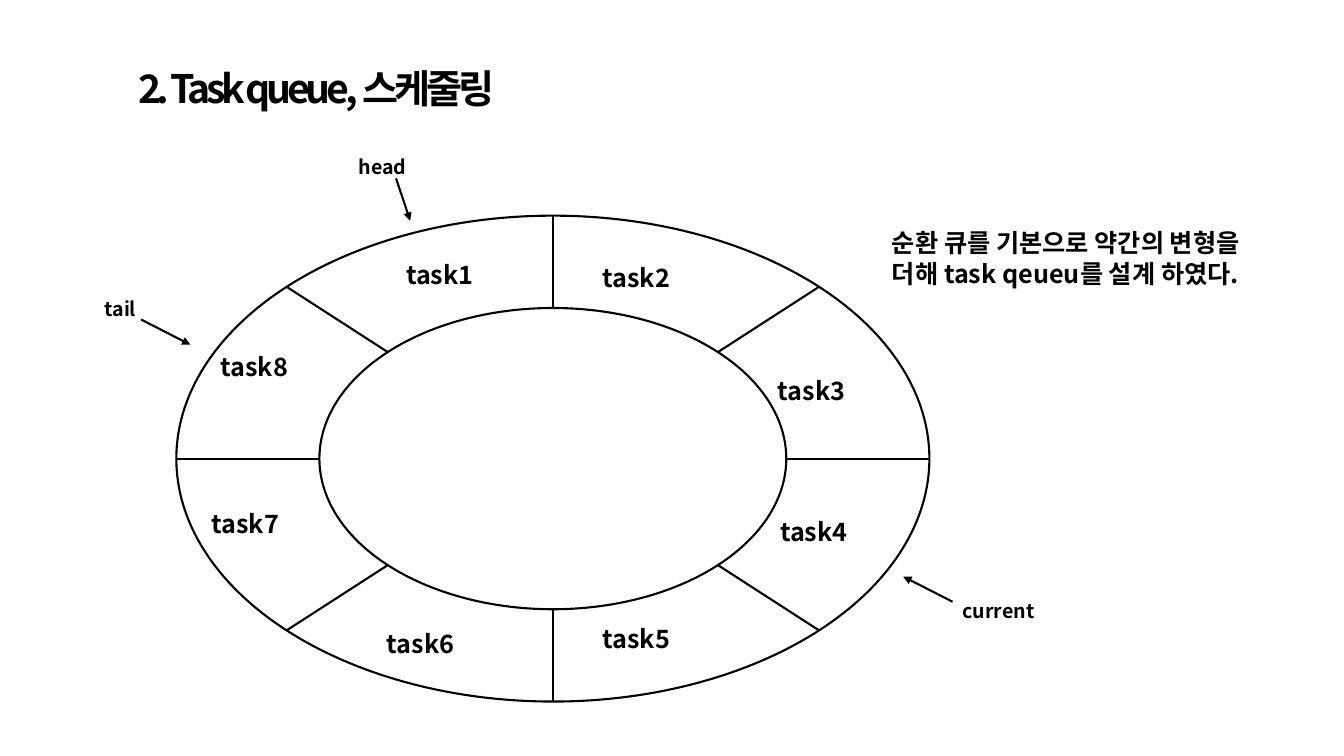
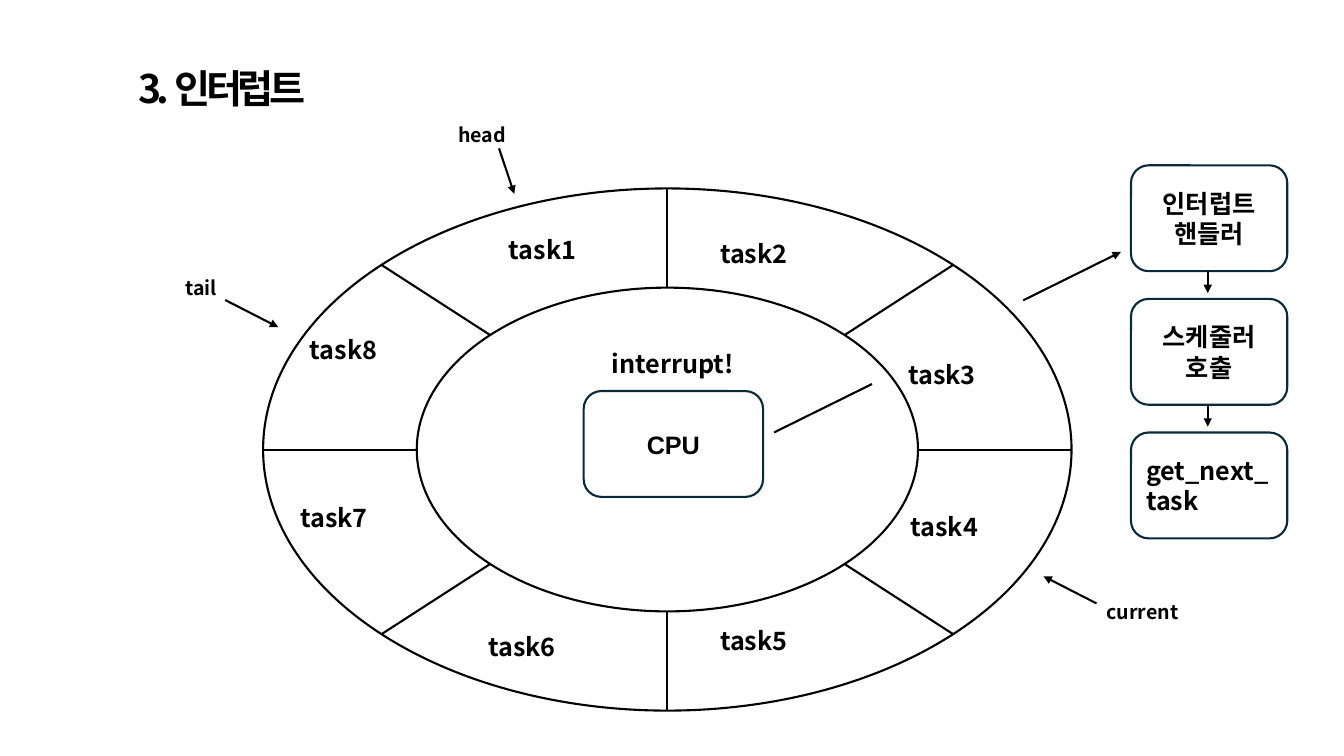
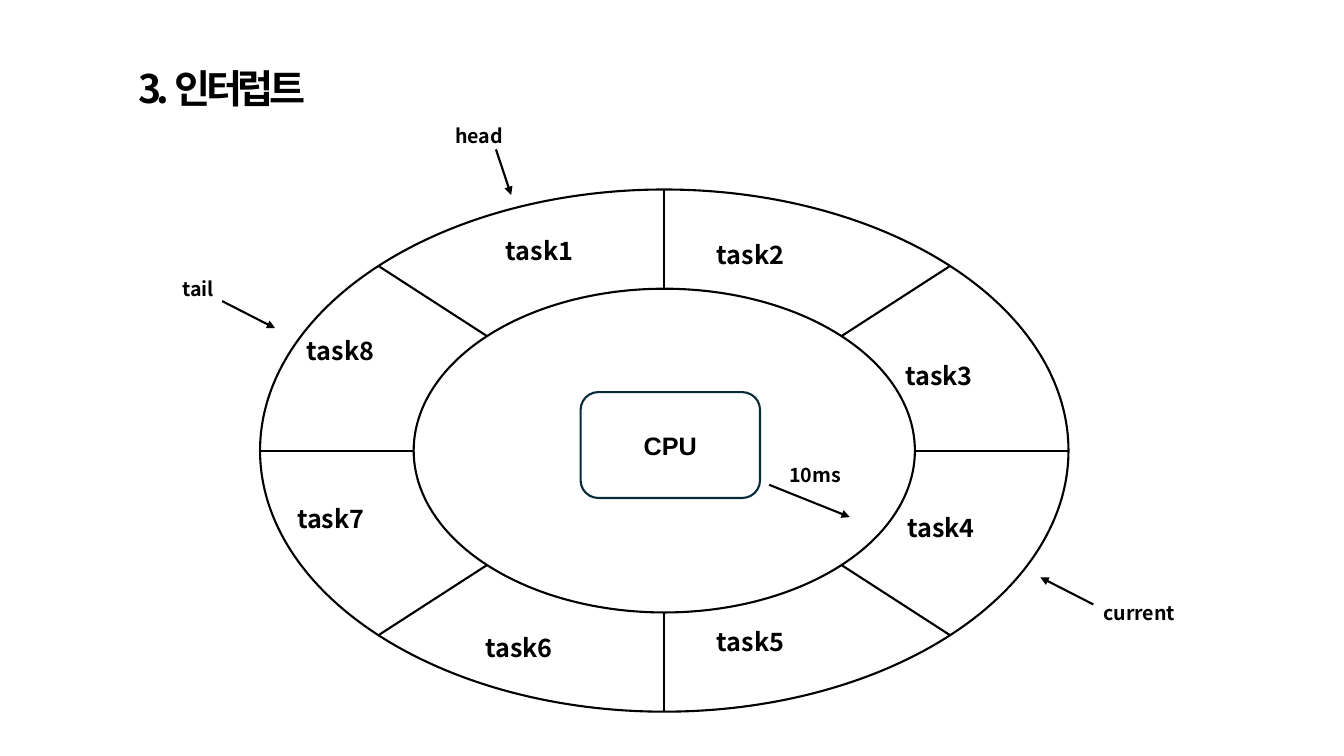
from math import cos, pi, sin

from lxml.etree import SubElement
from pptx import Presentation
from pptx.dml.color import RGBColor
from pptx.enum.shapes import MSO_CONNECTOR, MSO_SHAPE
from pptx.enum.text import MSO_ANCHOR, MSO_AUTO_SIZE, PP_ALIGN
from pptx.oxml.ns import qn
from pptx.util import Inches, Pt

STRAIGHT = MSO_CONNECTOR.STRAIGHT
OVAL, ROUNDED = MSO_SHAPE.OVAL, MSO_SHAPE.ROUNDED_RECTANGLE
MIDDLE = MSO_ANCHOR.MIDDLE
GROW = MSO_AUTO_SIZE.SHAPE_TO_FIT_TEXT
LEFT, CENTER = PP_ALIGN.LEFT, PP_ALIGN.CENTER

COLORS = {"ink": "000000", "box": "092A39"}
SANS, LATIN = "Noto Sans CJK KR", "Arial"
WIDTH, HEIGHT = 13.33, 7.5
PAGE = (0, 0, WIDTH, HEIGHT)
HUB = 0.62

TASK_SPOTS = [(29.18, 7.88), (55.29, 8.51), (78.58, 31.74), (78.85, 60.79),
              (55.29, 82.78), (26.64, 83.82), (3.35, 59.13), (4.55, 26.97)]
POINTERS = [
    ("head", (22.89, -13.49, 11.24, 7.05), (29.18, -7.68), (31.06, 1.04)),
    ("tail", (-10.84, 15.77, 11.24, 7.05), (-4.69, 21.37), (1.87, 26.56)),
    ("current", (103.08, 77.8, 15.26, 7.05), (103.08, 79.46), (96.52, 74.27)),
]
CPU_BOX = (39.65, 38.8, 22.19, 20.27)
HANDLER_STEPS = [("인터럽트 핸들러", LATIN, CENTER), ("스케줄러 호출", LATIN, CENTER),
                 ("get_next_task", SANS, LEFT)]


class Deck:
    """Draws slide elements placed in percent of the page or of the task wheel."""

    def __init__(self):
        self.prs = Presentation()
        self.prs.slide_width, self.prs.slide_height = Inches(WIDTH), Inches(HEIGHT)
        self.frame = PAGE

    def new_slide(self, title, title_width):
        self.shapes = self.prs.slides.add_slide(self.prs.slide_layouts[6]).shapes
        self.frame = PAGE
        self.text(title, (9.53, 7.87, title_width, 7.6), 28, wrap=False, spacing=-300)

    def point(self, x, y):
        left, top, width, height = self.frame
        return Inches(left + width * x / 100), Inches(top + height * y / 100)

    def area(self, x, y, w, h):
        left, top = self.point(x, y)
        right, bottom = self.point(x + w, y + h)
        return left, top, right - left, bottom - top

    def fill_text(self, text_frame, words, size, font=SANS, align=LEFT, spacing=None):
        paragraph = text_frame.paragraphs[0]
        paragraph.text = words
        paragraph.alignment = align
        style = paragraph.font
        style.name, style.size, style.bold = font, Pt(size), True
        style.color.rgb = RGBColor.from_string(COLORS["ink"])
        defaults = paragraph._p.pPr.find(qn("a:defRPr"))
        SubElement(defaults, qn("a:ea"), typeface=SANS)
        if spacing:
            defaults.set("spc", str(spacing))

    def text(self, words, area, size=18, wrap=True, spacing=None):
        text_frame = self.shapes.add_textbox(*self.area(*area)).text_frame
        text_frame.word_wrap = wrap
        text_frame.auto_size = GROW
        self.fill_text(text_frame, words, size, spacing=spacing)

    def outline(self, preset, area, color):
        shape = self.shapes.add_shape(preset, *self.area(*area))
        shape.shadow.inherit = False
        shape.fill.background()
        self.stroke(shape.line, color)
        return shape

    def stroke(self, line, color):
        line.color.rgb = RGBColor.from_string(COLORS[color])
        line.width = Pt(1.5)

    def box(self, words, area, font=LATIN, align=CENTER):
        text_frame = self.outline(ROUNDED, area, "box").text_frame
        text_frame.word_wrap = True
        text_frame.vertical_anchor = MIDDLE
        self.fill_text(text_frame, words, 18, font, align)

    def line(self, start, end, arrow=False):
        connector = self.shapes.add_connector(STRAIGHT, *self.point(*start), *self.point(*end))
        self.stroke(connector.line, "ink")
        properties = connector._element.spPr
        if arrow:
            SubElement(properties.find(qn("a:ln")), qn("a:tailEnd"), type="triangle")
        SubElement(properties, qn("a:effectLst"))

    def wheel(self, x, y, w, h, cpu=False):
        self.frame = (WIDTH * x / 100, HEIGHT * y / 100, WIDTH * w / 100, HEIGHT * h / 100)
        for share in (1, HUB):
            margin = 50 * (1 - share)
            self.outline(OVAL, (margin, margin, 100 * share, 100 * share), "ink")
        for spoke in range(8):
            across, down = cos(spoke * pi / 4), sin(spoke * pi / 4)
            self.line(*[(50 + reach * across, 50 + reach * down) for reach in (50 * HUB, 50)])
        for number, spot in enumerate(TASK_SPOTS, 1):
            self.text(f"task{number}", (*spot, 17.94, 8.3))
        for name, area, start, end in POINTERS:
            self.text(name, area, 14)
            self.line(start, end, arrow=True)
        if cpu:
            self.box("CPU", CPU_BOX)
        self.frame = PAGE

    def step_column(self, steps, x, y, w, h, pitch):
        for row, (words, font, align) in enumerate(steps):
            top = y + row * pitch
            self.box(words, (x, top, w, h), font, align)
            if row < len(steps) - 1:
                middle, bottom = x + w / 2 - 0.1, top + h
                self.line((middle, bottom), (middle, bottom + 2.9), arrow=True)


def main():
    deck = Deck()

    deck.new_slide("2. Task queue, 스케줄링", 28.35)
    deck.wheel(13.12, 28.53, 56.03, 64.27)
    deck.text("순환 큐를 기본으로 약간의 변형을 더해 task qeueu를 설계 하였다.",
              (65.63, 29.47, 31.2, 9.47))

    deck.new_slide("3. 인터럽트", 14.63)
    deck.wheel(19.58, 24.93, 60.15, 69.07, cpu=True)
    deck.line((57.6, 57.2), (64.88, 50.8))
    deck.line((76.13, 39.73), (83.4, 33.33), arrow=True)
    deck.step_column(HANDLER_STEPS, 84.15, 21.87, 11.63, 14, 17.67)
    deck.text("interrupt!", (44.78, 45.47, 15.83, 5.33))

    deck.new_slide("3. 인터럽트", 14.63)
    deck.wheel(19.35, 25.07, 60.15, 69.07, cpu=True)
    deck.line((57.23, 64.13), (63.23, 68.4), arrow=True)
    deck.text("10ms", (57.98, 60.53, 9.23, 4.53), 14)

    deck.prs.save("out.pptx")


if __name__ == "__main__":
    main()
